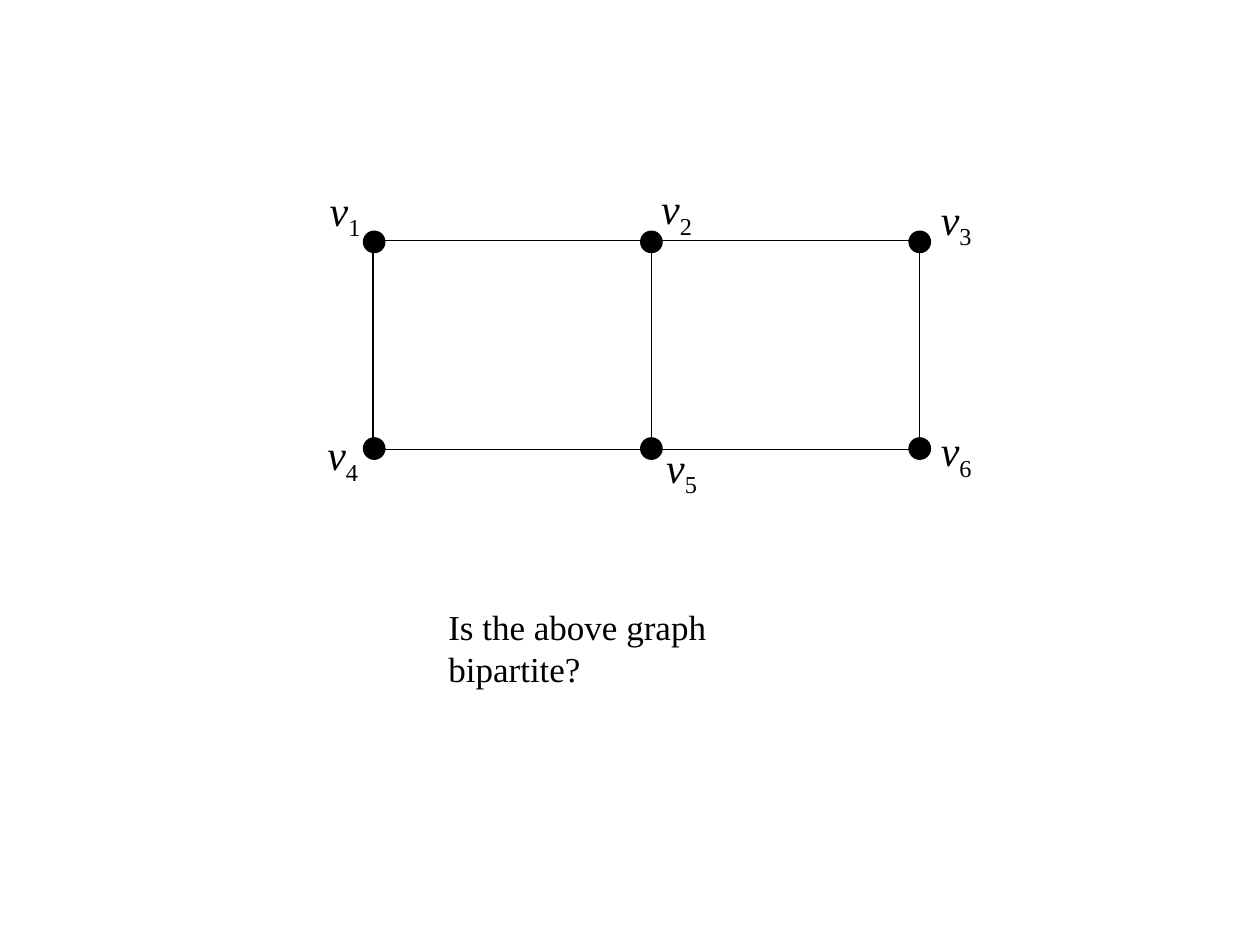
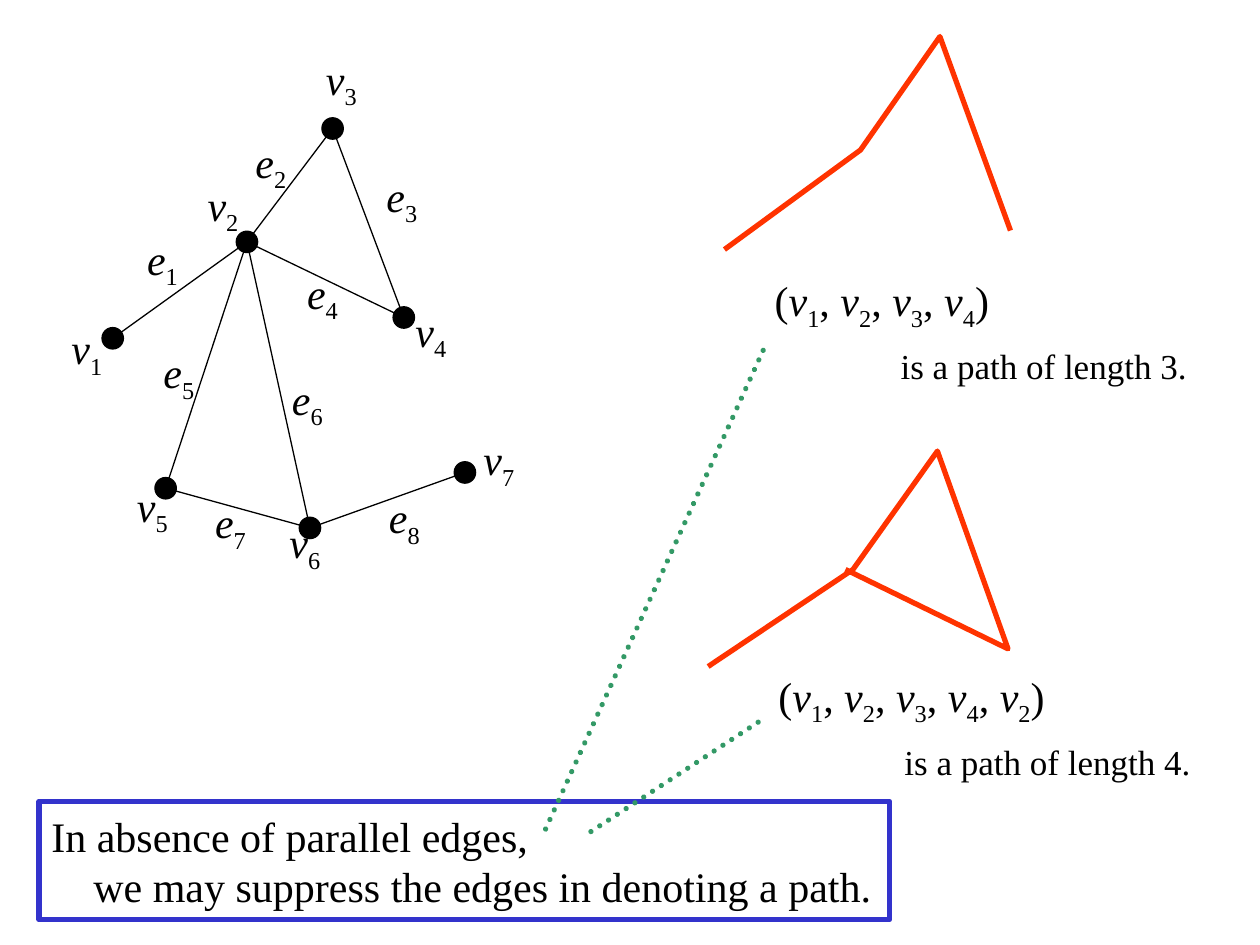
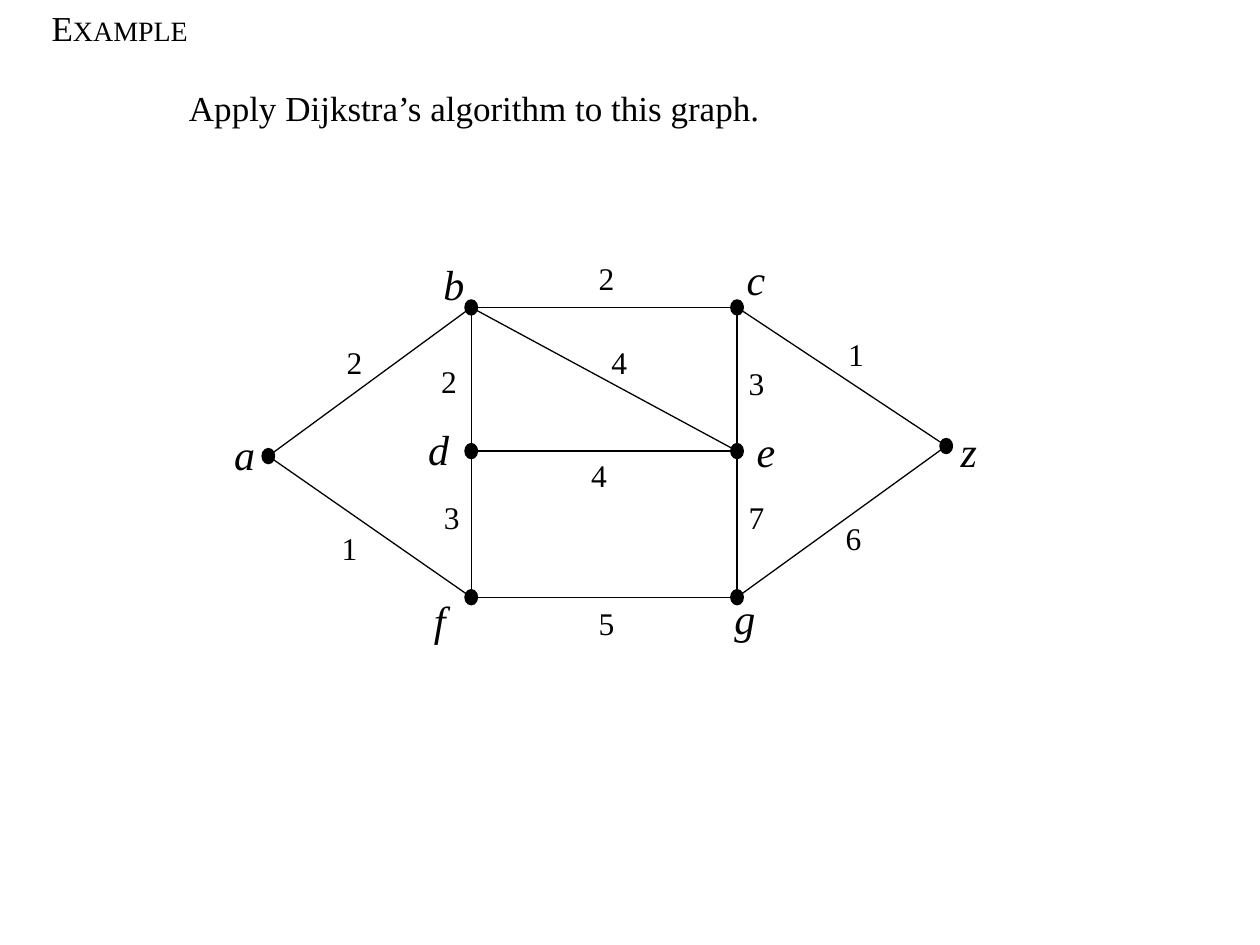
import itertools

import pptx
import pptx.dml.color
import pptx.enum.dml
import pptx.enum.shapes
import pptx.enum.text
import pptx.oxml
import pptx.oxml.ns
import pptx.util

COLORS = {"ink": "000000", "path": "FF3300", "frame": "3333CC", "pointer": "339966"}
FONT = "Times New Roman"
STYLES = {
    "symbol": {"size": 24, "italic": True},
    "index": {"size": 24, "italic": False},
    "large": {"size": 24},
    "body": {"size": 20},
    "weight": {"size": 18},
    "small": {"size": 16},
}
COLUMNS, ROWS = 100, 75
THIN, THICK = 0.75, 3
CENTER = pptx.enum.text.PP_ALIGN.CENTER
LEFT = pptx.enum.text.PP_ALIGN.LEFT
MIDDLE = pptx.enum.text.MSO_ANCHOR.MIDDLE
TOP = pptx.enum.text.MSO_ANCHOR.TOP


def set_attributes(target, values):
    for name, value in values.items():
        setattr(target, name, value)


def indexed(name):
    return [(name[0], "symbol"), (name[1:], "index")]


def vertex_sequence(*names):
    runs = [("(", "large")]
    for position, name in enumerate(names):
        if position:
            runs.append((", ", "large"))
        runs += indexed(name)
    return runs + [(")", "large")]


class Deck:
    def __init__(self):
        self.presentation = pptx.Presentation()
        set_attributes(self.presentation, {
            "slide_width": pptx.util.Inches(10),
            "slide_height": pptx.util.Inches(7.5),
        })
        self.column = self.presentation.slide_width / COLUMNS
        self.row = self.presentation.slide_height / ROWS
        self.slide = None

    def new_slide(self):
        self.slide = self.presentation.slides.add_slide(self.presentation.slide_layouts[6])

    def place(self, *values):
        units = itertools.cycle((self.column, self.row))
        return [round(value * unit) for value, unit in zip(values, units)]

    def color(self, name):
        return pptx.dml.color.RGBColor.from_string(COLORS[name])

    def outline(self, shape, color, width):
        shape.line.color.rgb = self.color(color)
        shape.line.width = pptx.util.Pt(width)

    def shape(self, kind, box, color="ink", width=THIN, filled=False):
        shape = self.slide.shapes.add_shape(kind, *self.place(*box))
        shape.shadow.inherit = False
        if filled:
            shape.fill.solid()
            shape.fill.fore_color.rgb = self.color(color)
        else:
            shape.fill.background()
        self.outline(shape, color, width)
        return shape

    def rectangle(self, box, color="ink", width=THIN):
        return self.shape(pptx.enum.shapes.MSO_SHAPE.RECTANGLE, box, color, width)

    def dot(self, center, size):
        x, y = center
        width, height = size
        box = (x - width / 2, y - height / 2, width, height)
        self.shape(pptx.enum.shapes.MSO_SHAPE.OVAL, box, filled=True)

    def line(self, start, end, color="ink", width=THIN, dotted=False):
        connector = self.slide.shapes.add_connector(
            pptx.enum.shapes.MSO_CONNECTOR.STRAIGHT, *self.place(*start, *end))
        self.outline(connector, color, width)
        properties = connector._element.spPr
        if dotted:
            connector.line.dash_style = pptx.enum.dml.MSO_LINE.ROUND_DOT
            properties.find(pptx.oxml.ns.qn("a:ln")).set("cap", "rnd")
        properties.append(pptx.oxml.parse_xml(
            f"<a:effectLst {pptx.oxml.ns.nsdecls('a')}/>"))

    def polyline(self, points, color="path"):
        start, *others = [self.place(*point) for point in points]
        builder = self.slide.shapes.build_freeform(*start)
        builder.add_line_segments(others, close=False)
        shape = builder.convert_to_shape()
        shape.shadow.inherit = False
        shape.fill.background()
        self.outline(shape, color, THICK)

    def fill_text(self, shape, paragraphs, alignment=LEFT, anchor=MIDDLE, wrap=False):
        frame = shape.text_frame
        set_attributes(frame, {"word_wrap": wrap, "vertical_anchor": anchor})
        for position, (runs, spacing, indent) in enumerate(paragraphs):
            paragraph = frame.add_paragraph() if position else frame.paragraphs[0]
            set_attributes(paragraph, {"alignment": alignment, "line_spacing": spacing})
            if indent:
                paragraph._p.get_or_add_pPr().set("marL", str(round(indent * self.column)))
            for text, style in runs:
                self.add_run(paragraph, text, style)

    def add_run(self, paragraph, text, style):
        run = paragraph.add_run()
        run.text = text
        values = STYLES[style]
        set_attributes(run.font, {**values, "name": FONT, "size": pptx.util.Pt(values["size"])})
        run.font.color.rgb = self.color("ink")
        if style == "index":
            run._r.get_or_add_rPr().set("baseline", "-25000")

    def text(self, box, paragraphs, **options):
        self.fill_text(self.slide.shapes.add_textbox(*self.place(*box)), paragraphs, **options)

    def label(self, corner, runs, size):
        self.text((*corner, *size), [(runs, None, 0)], alignment=CENTER)

    def graph(self, vertices, edges, dot_size):
        for start, end in edges:
            self.line(vertices[start], vertices[end])
        for center in vertices.values():
            self.dot(center, dot_size)

    def indexed_labels(self, labels):
        for name, corner in labels.items():
            self.label(corner, indexed(name), (4.6, 5))


DOT = (1.7, 1.7)


def bipartite_question(deck):
    deck.new_slide()
    columns, rows = (29.7, 51.7, 73), (19.2, 35.6)
    deck.rectangle((29.6, 19.1, 43.4, 16.6))
    deck.line((51.7, rows[0]), (51.7, rows[1]))
    for y, x in itertools.product(rows, columns):
        deck.dot((x, y), DOT)
    deck.indexed_labels({
        "v1": (25.1, 14.4), "v2": (51.4, 14.3), "v3": (73.6, 15.1),
        "v4": (24.9, 33.8), "v5": (51.8, 34.8), "v6": (73.6, 33.5),
    })
    deck.text((34.6, 47.6, 24, 7.5),
              [([("Is the above graph bipartite?", "body")], None, 0)], anchor=TOP, wrap=True)


def paths_without_edges(deck):
    deck.new_slide()
    vertices = {
        "v1": (8.95, 26.85), "v2": (19.6, 19.2), "v3": (26.4, 10.2), "v4": (32.05, 25.2),
        "v5": (13.15, 38.75), "v6": (24.6, 41.9), "v7": (36.9, 37.5),
    }
    edges = [("v1", "v2"), ("v2", "v3"), ("v3", "v4"), ("v2", "v4"),
             ("v2", "v5"), ("v2", "v6"), ("v5", "v6"), ("v6", "v7")]
    deck.graph(vertices, edges, DOT)
    deck.indexed_labels({
        "v1": (4.6, 25.4), "v2": (15.4, 14), "v3": (24.8, 4), "v4": (31.9, 24),
        "v5": (9.8, 37.9), "v6": (21.9, 40.8), "v7": (37.3, 34.2),
        "e1": (10.6, 18.3), "e2": (19.2, 10.6), "e3": (29.6, 13.3), "e4": (23.3, 21),
        "e5": (11.9, 27.3), "e6": (22.1, 29.4), "e7": (16, 39.2), "e8": (29.8, 38.8),
    })
    paths = [
        ((60.5, 21.6), ("v1", "v2", "v3", "v4"),
         [(57.5, 19.8), (68.3, 11.9), (74.6, 2.9), (80.2, 18.3)]),
        ((60.8, 53), ("v1", "v2", "v3", "v4", "v2"),
         [(56.2, 52.9), (67.7, 45.2), (74.4, 35.8), (80, 51.5), (67.1, 45.2)]),
    ]
    for corner, names, points in paths:
        statement = f"is a path of length {len(names) - 1}."
        deck.text((*corner, 35.3, 9.3), [
            (vertex_sequence(*names), None, 0),
            ([(statement, "body")], 1.3, 10),
        ])
        deck.polyline(points)
    deck.fill_text(deck.rectangle((3.1, 63.6, 67.5, 9.4), "frame", THICK), [
        ([("In absence of parallel edges,", "large")], None, 0),
        ([("we may suppress the edges in denoting a path.", "large")], None, 3.33),
    ])
    for start, end in [((46.9, 66), (60.2, 57.3)), ((43.3, 65.8), (60.8, 27.3))]:
        deck.line(start, end, "pointer", THICK, dotted=True)


def shortest_path_example(deck):
    deck.new_slide()
    deck.label((3.1, 0), [("E", "body"), ("XAMPLE", "small")], (12.8, 4.3))
    deck.label((14, 6.4), [("Apply Dijkstra’s algorithm to this graph.", "body")], (47.3, 4.3))
    left, right = 37.4, 58.5
    top, middle, bottom = 24.4, 35.8, 47.4
    vertices = {
        "a": (21.3, 36.2), "b": (left, top), "c": (right, top), "d": (left, middle),
        "e": (right, middle), "f": (left, bottom), "g": (right, bottom), "z": (75.1, 35.4),
    }
    deck.graph(vertices, ["ab", "af", "fg", "de", "bc", "bf", "cg", "cz", "zg", "be"], (1, 1.2))
    names = {
        "a": (17.6, 33.5), "b": (34.2, 20), "c": (58.2, 19.6), "d": (33, 33.1),
        "e": (59, 33.3), "f": (33.1, 46.7), "g": (57.3, 46.5), "z": (75.1, 33.3),
    }
    for name, corner in names.items():
        deck.label(corner, [(name, "symbol")], (3.6, 5))
    weights = [
        ("2", 26.5, 26.7), ("4", 47.5, 26.7), ("3", 58.4, 28.4), ("2", 46.5, 20.1),
        ("2", 34, 28.2), ("4", 45.9, 35.7), ("5", 46.5, 47.4), ("6", 66.1, 40.7),
        ("1", 66.3, 26.1), ("1", 26.1, 41.5), ("3", 34.2, 39), ("7", 58.4, 39),
    ]
    for weight, x, y in weights:
        deck.label((x, y), [(weight, "weight")], (3.3, 4))


def main():
    deck = Deck()
    bipartite_question(deck)
    paths_without_edges(deck)
    shortest_path_example(deck)
    deck.presentation.save("out.pptx")


if __name__ == "__main__":
    main()
